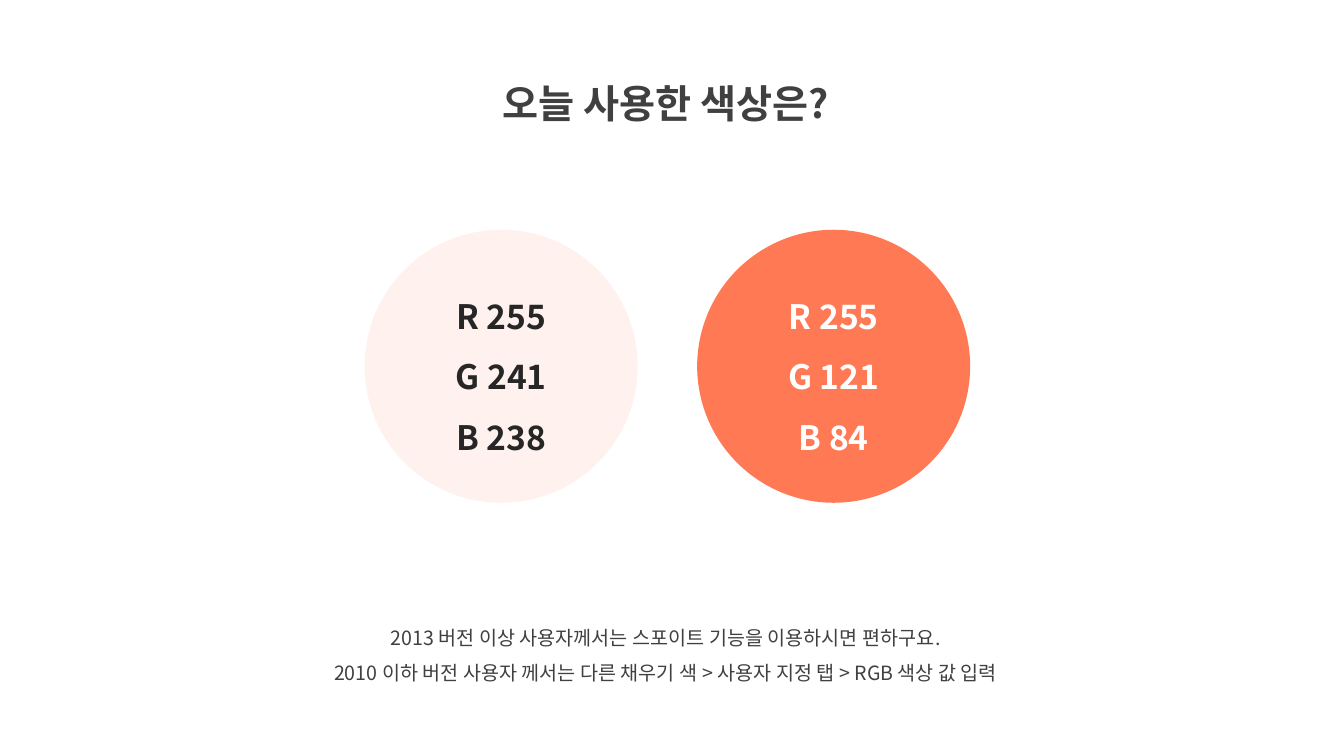
from dataclasses import dataclass

from lxml import etree
from pptx import Presentation
from pptx.dml.color import RGBColor
from pptx.enum.shapes import MSO_SHAPE
from pptx.enum.text import MSO_ANCHOR, MSO_AUTO_SIZE, PP_ALIGN
from pptx.oxml.ns import qn
from pptx.slide import Slide
from pptx.text.text import TextFrame
from pptx.util import Cm, Pt

ELLIPSE = MSO_SHAPE.OVAL
CENTER = PP_ALIGN.CENTER
MIDDLE = MSO_ANCHOR.MIDDLE
GROW = MSO_AUTO_SIZE.SHAPE_TO_FIT_TEXT

FONT = "Noto Sans CJK KR"
GREY = "404040"
BLANK_LAYOUT = 6

SWATCH_LEFT = 9.19
SWATCH_TOP = 5.79
SWATCH_SIZE = 6.88
SWATCH_PITCH = 8.38


@dataclass(frozen=True)
class TextStyle:
    size: int
    colour: str
    bold: bool = False


@dataclass(frozen=True)
class Caption:
    left: float
    top: float
    width: float
    height: float
    style: TextStyle
    lines: tuple[str, ...]


@dataclass(frozen=True)
class Swatch:
    fill: str
    text_colour: str


CAPTIONS = (
    Caption(10.9, 1.27, 11.76, 1.83, TextStyle(28, GREY, True),
            ("오늘 사용한 색상은?",)),
    Caption(6.63, 15.34, 20.29, 2.06, TextStyle(14, GREY),
            ("2013 버전 이상 사용자께서는 스포이트 기능을 이용하시면 편하구요.",
             "2010 이하 버전 사용자 께서는 다른 채우기 색 > 사용자 지정 탭 > RGB 색상 값 입력")),
)
SWATCHES = (Swatch("FFF1EE", "262626"), Swatch("FF7954", "FFFFFF"))


def rgb(value: str) -> RGBColor:
    return RGBColor.from_string(value)


def write_lines(frame: TextFrame, lines: tuple[str, ...], style: TextStyle) -> None:
    frame.word_wrap = True
    for index, line in enumerate(lines):
        para = frame.add_paragraph() if index else frame.paragraphs[0]
        para.alignment = CENTER
        para.line_spacing = 1.5
        span = para.add_run()
        span.text = line
        span.font.size = Pt(style.size)
        span.font.bold = style.bold
        span.font.color.rgb = rgb(style.colour)
        span.font.name = FONT
        # Hangul takes its typeface from the East Asian font
        etree.SubElement(span.font._element, qn("a:ea"), typeface=FONT)


def add_caption(page: Slide, caption: Caption) -> None:
    box = page.shapes.add_textbox(Cm(caption.left), Cm(caption.top),
                                  Cm(caption.width), Cm(caption.height))
    write_lines(box.text_frame, caption.lines, caption.style)
    box.text_frame.auto_size = GROW


def add_swatch(page: Slide, swatch: Swatch, column: int) -> None:
    circle = page.shapes.add_shape(
        ELLIPSE, Cm(SWATCH_LEFT + column * SWATCH_PITCH), Cm(SWATCH_TOP),
        Cm(SWATCH_SIZE), Cm(SWATCH_SIZE))
    circle.shadow.inherit = False
    circle.fill.solid()
    circle.fill.fore_color.rgb = rgb(swatch.fill)
    circle.line.fill.background()
    circle.text_frame.vertical_anchor = MIDDLE
    # The label spells out the channels of the fill
    channels = zip("RGB", rgb(swatch.fill))
    lines = tuple(f"{letter} {value}" for letter, value in channels)
    write_lines(circle.text_frame, lines, TextStyle(24, swatch.text_colour, True))


def main() -> None:
    deck = Presentation()
    deck.slide_width = Cm(33.87)
    deck.slide_height = Cm(19.05)
    page = deck.slides.add_slide(deck.slide_layouts[BLANK_LAYOUT])

    # Title and instructions
    for caption in CAPTIONS:
        add_caption(page, caption)

    # Colour circles
    for column, swatch in enumerate(SWATCHES):
        add_swatch(page, swatch, column)

    deck.save("out.pptx")


if __name__ == "__main__":
    main()
